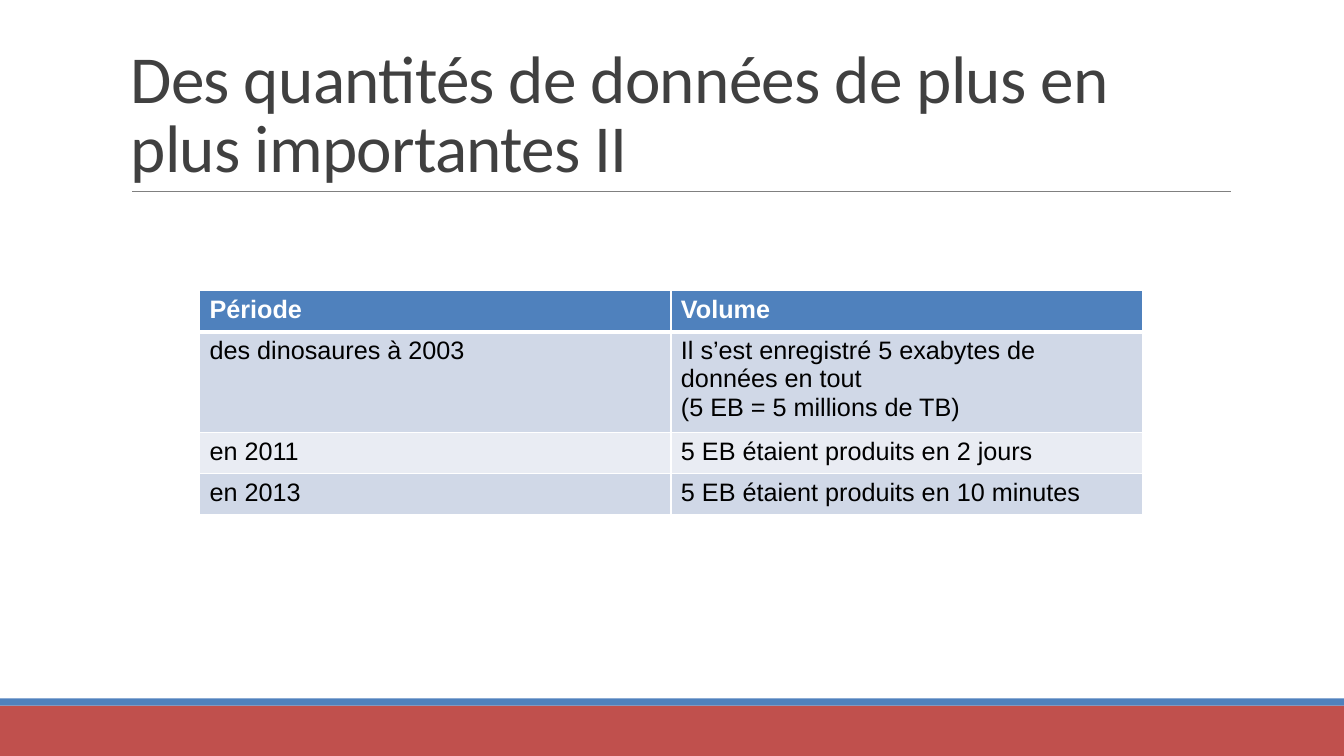
from dataclasses import dataclass

from lxml.etree import SubElement
from pptx import Presentation
from pptx.dml.color import RGBColor
from pptx.enum.shapes import MSO_CONNECTOR, MSO_SHAPE
from pptx.enum.text import MSO_ANCHOR
from pptx.oxml import parse_xml
from pptx.oxml.ns import nsdecls, qn
from pptx.slide import Slide
from pptx.table import _Cell as Cell
from pptx.text.text import Font
from pptx.util import Emu, Pt

SCALE = 9525
COLORS = {
    "red": "C0504D",
    "blue": "4F81BD",
    "rule": "808080",
    "title": "404040",
    "white": "FFFFFF",
    "black": "000000",
    "dark": "D0D8E7",
    "light": "E9ECF3",
}
TITLE = "Des quantités de données de plus en plus importantes II"
ROWS = [
    ("Période", "Volume"),
    (
        "des dinosaures à 2003",
        "Il s’est enregistré 5 exabytes de données en tout\n(5 EB = 5 millions de TB)",
    ),
    ("en 2011", "5 EB étaient produits en 2 jours"),
    ("en 2013", "5 EB étaient produits en 10 minutes"),
]
THIN, THICK = 0.96, 3


@dataclass(frozen=True)
class Bar:
    top: int
    height: int
    color: str


BARS = [Bar(672, 48, "red"), Bar(665, 7, "blue")]


def px(count: int) -> Emu:
    return Emu(count * SCALE)


def rgb(name: str) -> RGBColor:
    return RGBColor.from_string(COLORS[name])


def style(font: Font, face: str, size: int, color: str, bold: bool = False) -> None:
    font.name = face
    font.size = Pt(size)
    font.bold = bold
    font.color.rgb = rgb(color)


def add_bar(slide: Slide, bar: Bar) -> None:
    shape = slide.shapes.add_shape(
        MSO_SHAPE.RECTANGLE, 0, px(bar.top), px(1280), px(bar.height)
    )
    shape.shadow.inherit = False
    shape.fill.solid()
    shape.fill.fore_color.rgb = rgb(bar.color)
    shape.line.fill.background()


def add_rule(slide: Slide) -> None:
    rule = slide.shapes.add_connector(
        MSO_CONNECTOR.STRAIGHT, px(126), px(182), px(1172), px(182)
    )
    rule.line.color.rgb = rgb("rule")
    rule.line.width = Pt(0.5)
    SubElement(rule.element.spPr, qn("a:effectLst"))


def add_title(slide: Slide) -> None:
    frame = slide.shapes.add_textbox(px(115), px(30), px(1056), px(152)).text_frame
    frame.word_wrap = True
    frame.vertical_anchor = MSO_ANCHOR.BOTTOM
    para = frame.paragraphs[0]
    para.line_spacing = 0.85
    style(para.font, "Calibri", 48, "title")
    run = para.add_run()
    run.text = TITLE
    run.font.size = Pt(48)
    run._r.get_or_add_rPr().set("spc", "-50")


def add_edges(cell: Cell, top: float, bottom: float) -> None:
    edges = {"lnL": THIN, "lnR": THIN, "lnT": top, "lnB": bottom}
    props = cell._tc.get_or_add_tcPr()
    for place, (tag, width) in enumerate(edges.items()):
        edge = parse_xml(
            f'<a:{tag} {nsdecls("a")} w="{Pt(width)}"><a:solidFill>'
            f'<a:srgbClr val="{COLORS["white"]}"/></a:solidFill></a:{tag}>'
        )
        props.insert(place, edge)


def fill_cell(cell: Cell, text: str, row: int) -> None:
    head = row == 0
    cell.text = text
    for para in cell.text_frame.paragraphs:
        style(para.font, "Arial", 18, "white" if head else "black", head)
    cell.fill.solid()
    cell.fill.fore_color.rgb = rgb("blue" if head else "dark" if row % 2 else "light")
    add_edges(cell, THICK if row == 1 else THIN, THICK if head else THIN)


def add_grid(slide: Slide) -> None:
    table = slide.shapes.add_table(
        len(ROWS), len(ROWS[0]), px(190), px(277), px(898), px(39 * len(ROWS))
    ).table
    for row, texts in enumerate(ROWS):
        for col, text in enumerate(texts):
            fill_cell(table.cell(row, col), text, row)


def main() -> None:
    deck = Presentation()
    deck.slide_width, deck.slide_height = px(1280), px(720)
    slide = deck.slides.add_slide(deck.slide_layouts[6])
    for bar in BARS:
        add_bar(slide, bar)
    add_rule(slide)
    add_title(slide)
    add_grid(slide)
    deck.save("out.pptx")


if __name__ == "__main__":
    main()
